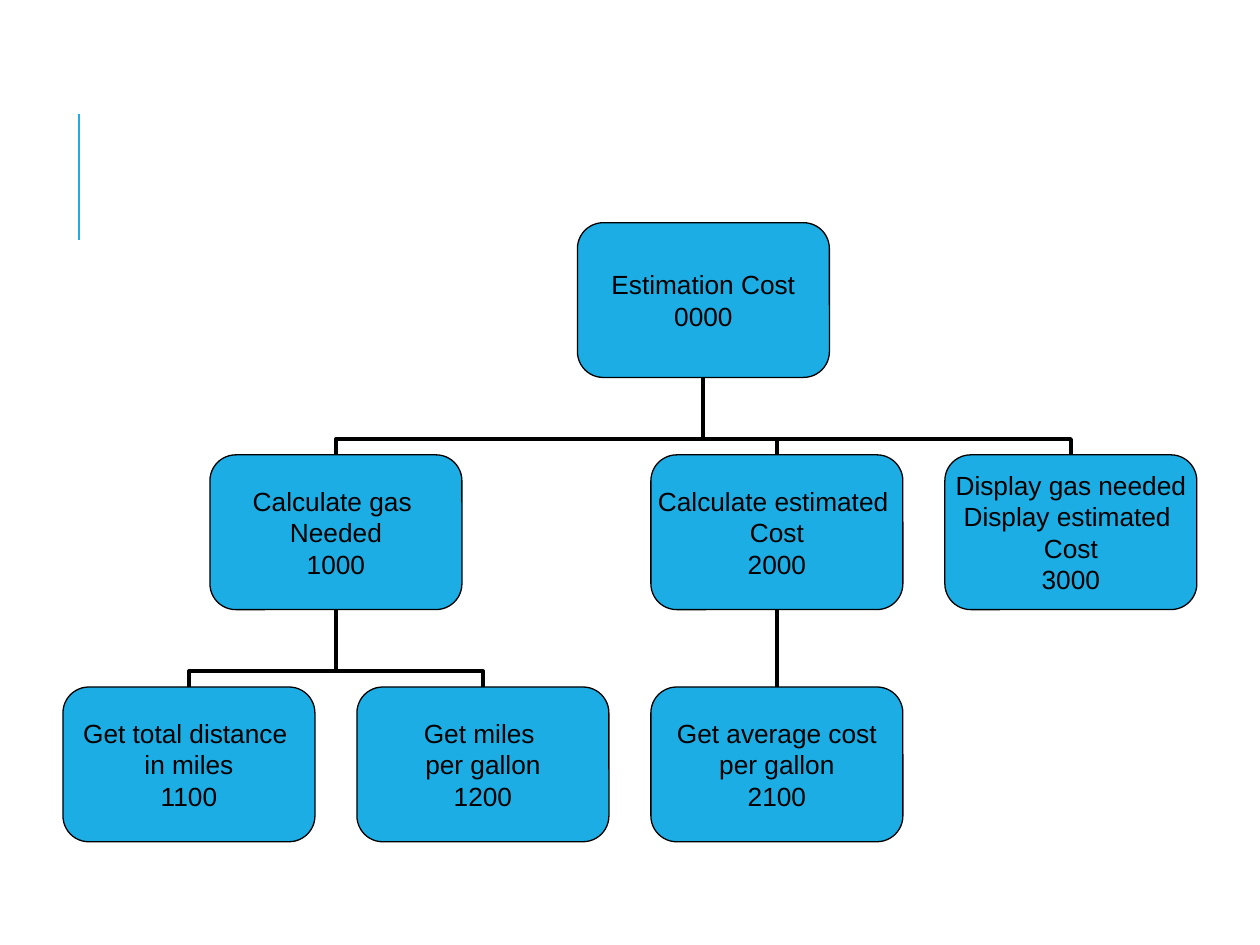
from lxml import etree
from pptx import Presentation
from pptx.dml.color import RGBColor
from pptx.enum.shapes import MSO_CONNECTOR, MSO_SHAPE
from pptx.enum.text import MSO_ANCHOR, PP_ALIGN
from pptx.oxml.ns import qn
from pptx.util import Cm, Pt

ROUND = MSO_SHAPE.ROUNDED_RECTANGLE
STRAIGHT, ELBOW = MSO_CONNECTOR.STRAIGHT, MSO_CONNECTOR.ELBOW
MIDDLE, CENTER = MSO_ANCHOR.MIDDLE, PP_ALIGN.CENTER
TOP, BOTTOM = 0, 2

# Boxes sit on a grid of half columns and rows (cm)
LEFT, HALF = 1.27, 2.963
HEAD, ROW = 4.49, 4.68
WIDE, HIGH = 5.08, 3.12

# code: (half column, row, parent code, title lines)
BOXES = {
    "0000": (3.5, 0, None, ["Estimation Cost"]),
    "1000": (1, 1, "0000", ["Calculate gas ", "Needed"]),
    "2000": (4, 1, "0000", ["Calculate estimated ", "Cost"]),
    "3000": (6, 1, "0000", ["Display gas needed", "Display estimated ", "Cost"]),
    "1100": (0, 2, "1000", ["Get total distance ", "in miles"]),
    "1200": (2, 2, "1000", ["Get miles ", "per gallon"]),
    "2100": (4, 2, "2000", ["Get average cost", "per gallon"]),
}


def color(code):
    return RGBColor.from_string(code)


class Chart:
    """Draws a structure chart on one slide in one style."""

    font, size = "Arial", Pt(15)
    blue, black = "1CADE4", "000000"

    def __init__(self, slide):
        self.shapes = slide.shapes

    def line(self, kind, start, end, tint, weight):
        line = self.shapes.add_connector(kind, *start, *end)
        line.line.color.rgb = color(tint)
        line.line.width = Pt(weight)
        etree.SubElement(line._element.spPr, qn("a:effectLst"))
        return line

    def box(self, col, row, lines):
        box = self.shapes.add_shape(ROUND, Cm(LEFT + col * HALF), Cm(HEAD + row * ROW),
                                    Cm(WIDE), Cm(HIGH))
        box.shadow.inherit = False
        box.adjustments[0] = 0.167
        box.fill.solid()
        box.fill.fore_color.rgb = color(self.blue)
        box.line.color.rgb = color(self.black)
        box.line.width = Pt(0.75)
        frame = box.text_frame
        frame.margin_left = frame.margin_right = 0
        frame.margin_top = frame.margin_bottom = 0
        frame.word_wrap = False
        frame.vertical_anchor = MIDDLE
        frame.text = "\n".join(lines)
        for para in frame.paragraphs:
            para.alignment = CENTER
            for run in para.runs:
                run.font.name, run.font.size = self.font, self.size
                run.font.color.rgb = color(self.black)
        return box

    def link(self, child, parent):
        start = child.left + child.width // 2, child.top
        end = parent.left + parent.width // 2, parent.top + parent.height
        kind = STRAIGHT if start[0] == end[0] else ELBOW
        line = self.line(kind, start, end, self.black, 2.25)
        line.begin_connect(child, TOP)
        line.end_connect(parent, BOTTOM)
        if kind == ELBOW:
            self.turn(line, start, end)

    def turn(self, line, start, end):
        """Turn an elbow so that it leaves the child upwards."""
        across, rise = abs(end[0] - start[0]), start[1] - end[1]
        line.left = (start[0] + end[0] - rise) // 2
        line.top = (start[1] + end[1] - across) // 2
        line.width, line.height = rise, across
        left = start[0] < end[0]
        frame = line._element.spPr.find(qn("a:xfrm"))
        frame.set("rot", str((90 if left else 270) * 60000))
        frame.set("flipH", "1" if left else "0")
        frame.set("flipV", "1")
        guides = line._element.spPr.find(qn("a:prstGeom")).find(qn("a:avLst"))
        etree.SubElement(guides, qn("a:gd"), name="adj1", fmla="val 20300")


def main():
    deck = Presentation()
    deck.slide_width, deck.slide_height = Cm(25.4), Cm(19.05)
    chart = Chart(deck.slides.add_slide(deck.slide_layouts[6]))
    chart.line(STRAIGHT, (Cm(1.59), Cm(4.83)), (Cm(1.59), Cm(2.29)), chart.blue, 1.5)
    drawn = {}
    for code, (col, row, parent, title) in BOXES.items():
        drawn[code] = chart.box(col, row, title + [code])
        if parent:
            chart.link(drawn[code], drawn[parent])
    deck.save("out.pptx")


if __name__ == "__main__":
    main()
